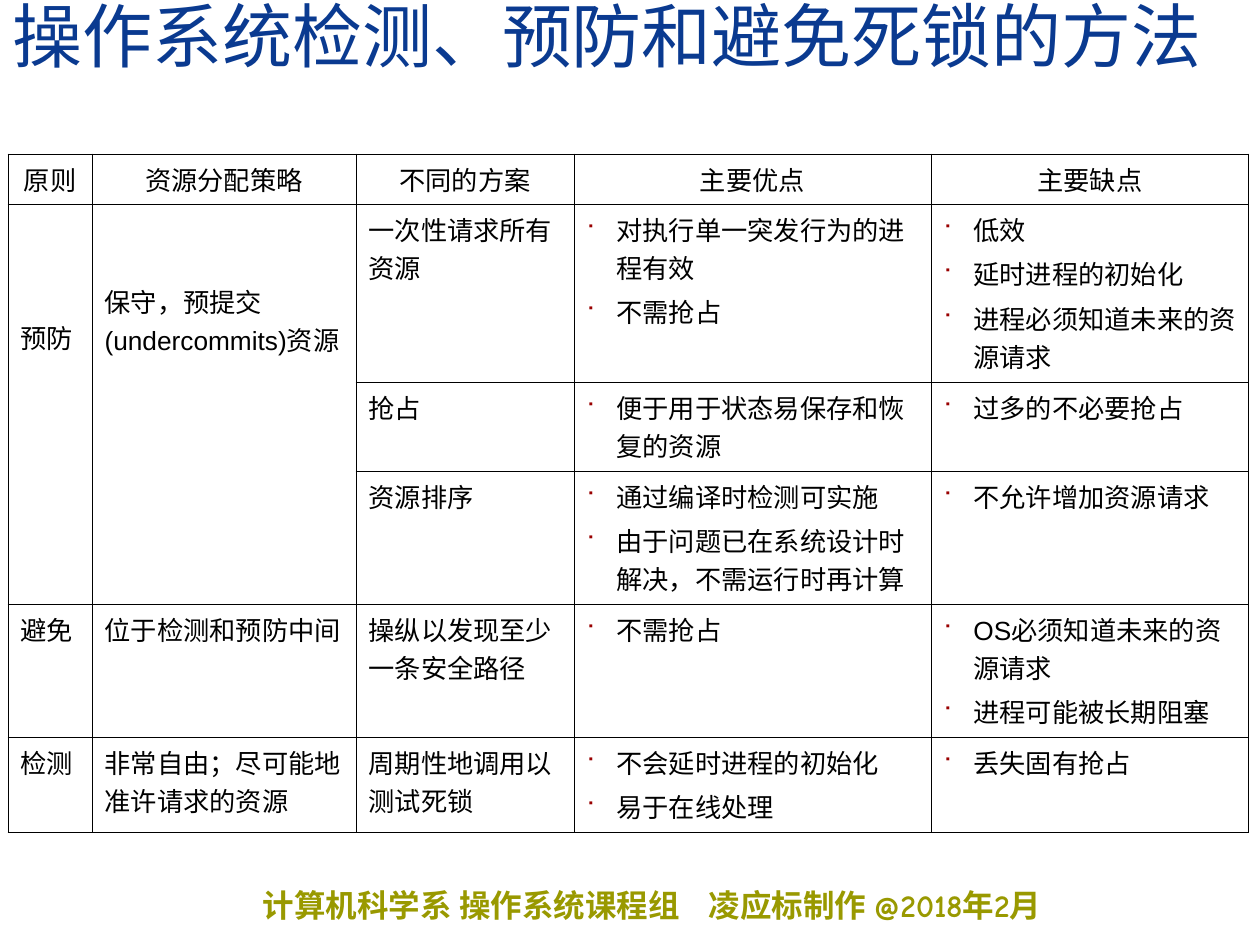
from pptx import Presentation, util as u
from pptx.dml.color import RGBColor
from pptx.enum import text as t
from pptx.oxml import parse_xml
from pptx.oxml.ns import nsdecls

HUE = {"title": "0A3A90", "foot": "999900", "ink": "000000", "mark": "990000"}
TITLE = "操作系统检测、预防和避免死锁的方法"
FOOT = ["计算机科学系 操作系统课程组", "\t凌应标制作 @2018年2月"]
HEAD = ["原则", "资源分配策略", "不同的方案", "主要优点", "主要缺点"]
ROWS = [
    ["预防", "保守，预提交(undercommits)资源", "一次性请求所有资源",
     ["对执行单一突发行为的进程有效", "不需抢占"],
     ["低效", "延时进程的初始化", "进程必须知道未来的资源请求"]],
    [None, None, "抢占", ["便于用于状态易保存和恢复的资源"], ["过多的不必要抢占"]],
    [None, None, "资源排序",
     ["通过编译时检测可实施", "由于问题已在系统设计时解决，不需运行时再计算"],
     ["不允许增加资源请求"]],
    ["避免", "位于检测和预防中间", "操纵以发现至少一条安全路径",
     ["不需抢占"], ["OS必须知道未来的资源请求", "进程可能被长期阻塞"]],
    ["检测", "非常自由；尽可能地准许请求的资源", "周期性地调用以测试死锁",
     ["不会延时进程的初始化", "易于在线处理"], ["丢失固有抢占"]],
]
WIDE = [84, 264, 218, 357, 318]
HIGH = [50, 178, 89, 133, 133, 95]
DROP = {(1, 0): 114, (1, 1): 78}


def px(n):
    return u.Emu(round(n * 914400 / 126))


def add_run(para, words, size, face, hue, bold=False):
    run = para.add_run()
    run.text = words
    font = run.font
    font.size, font.name, font.bold = u.Pt(size), face, bold
    font.color.rgb = RGBColor.from_string(HUE[hue])


def add_xml(node, body):
    tag, rest = body.split(" ", 1)
    node.append(parse_xml(f"<a:{tag} {nsdecls('a')} {rest}"))


def add_mark(para):
    prop = para._p.get_or_add_pPr()
    prop.set("marL", str(px(30)))
    prop.set("indent", str(-px(30)))
    add_xml(prop, f'buClr ><a:srgbClr val="{HUE["mark"]}"/></a:buClr>')
    add_xml(prop, 'buSzPct val="75000"/>')
    add_xml(prop, 'buFont typeface="Wingdings" pitchFamily="2" charset="2"/>')
    add_xml(prop, 'buChar char="■"/>')


def add_edge(cell):
    prop = cell._tc.get_or_add_tcPr()
    for i, side in enumerate("LRTB"):
        prop.insert(i, parse_xml(
            f'<a:ln{side} {nsdecls("a")} w="5715"><a:solidFill>'
            f'<a:srgbClr val="{HUE["ink"]}"/></a:solidFill></a:ln{side}>'))


def fill_cell(cell, item, head):
    marked = isinstance(item, list)
    for i, words in enumerate(item if marked else [item]):
        para = cell.text_frame.add_paragraph() if i else cell.text_frame.paragraphs[0]
        if marked:
            add_mark(para)
        if i:
            para.space_before = u.Pt(3.7)
        para.alignment = t.PP_ALIGN.CENTER if head else t.PP_ALIGN.LEFT
        add_run(para, words, 15, "Arial", "ink")


def add_title(slide):
    box = slide.shapes.title
    box.left, box.top, box.width, box.height = px(0), px(0), px(1260), px(82)
    frame = box.text_frame
    frame.auto_size = t.MSO_AUTO_SIZE.NONE
    frame.vertical_anchor = t.MSO_ANCHOR.BOTTOM
    para = frame.paragraphs[0]
    para.alignment, para.line_spacing = t.PP_ALIGN.LEFT, 0.8
    add_run(para, TITLE, 40, "Times New Roman", "title")


def add_foot(slide):
    box = slide.shapes.add_textbox(px(263), px(880), px(922), px(51))
    frame = box.text_frame
    frame.word_wrap = True
    frame.margin_left = frame.margin_right = 0
    para = frame.paragraphs[0]
    add_xml(para._p.get_or_add_pPr(),
            f'tabLst ><a:tab pos="{px(446)}" algn="l"/></a:tabLst>')
    for words in FOOT:
        add_run(para, words, 18, "Comic Neue", "foot", True)


def add_grid(slide):
    grid = slide.shapes.add_table(
        len(HIGH), len(WIDE), px(8), px(154), px(sum(WIDE)), px(sum(HIGH))).table
    grid.first_row = grid.horz_banding = False
    for col, wide in zip(grid.columns, WIDE):
        col.width = px(wide)
    for row, high in zip(grid.rows, HIGH):
        row.height = px(high)
    for c in (0, 1):
        grid.cell(1, c).merge(grid.cell(3, c))
    for r, line in enumerate([HEAD] + ROWS):
        for c, item in enumerate(line):
            cell = grid.cell(r, c)
            cell.fill.background()
            add_edge(cell)
            cell.margin_top = px(DROP.get((r, c), 6))
            if item:
                fill_cell(cell, item, r == 0)


def main():
    deck = Presentation()
    deck.slide_width, deck.slide_height = px(1260), px(945)
    slide = deck.slides.add_slide(deck.slide_layouts[5])
    add_foot(slide)
    add_title(slide)
    add_grid(slide)
    deck.save("out.pptx")


if __name__ == "__main__":
    main()
